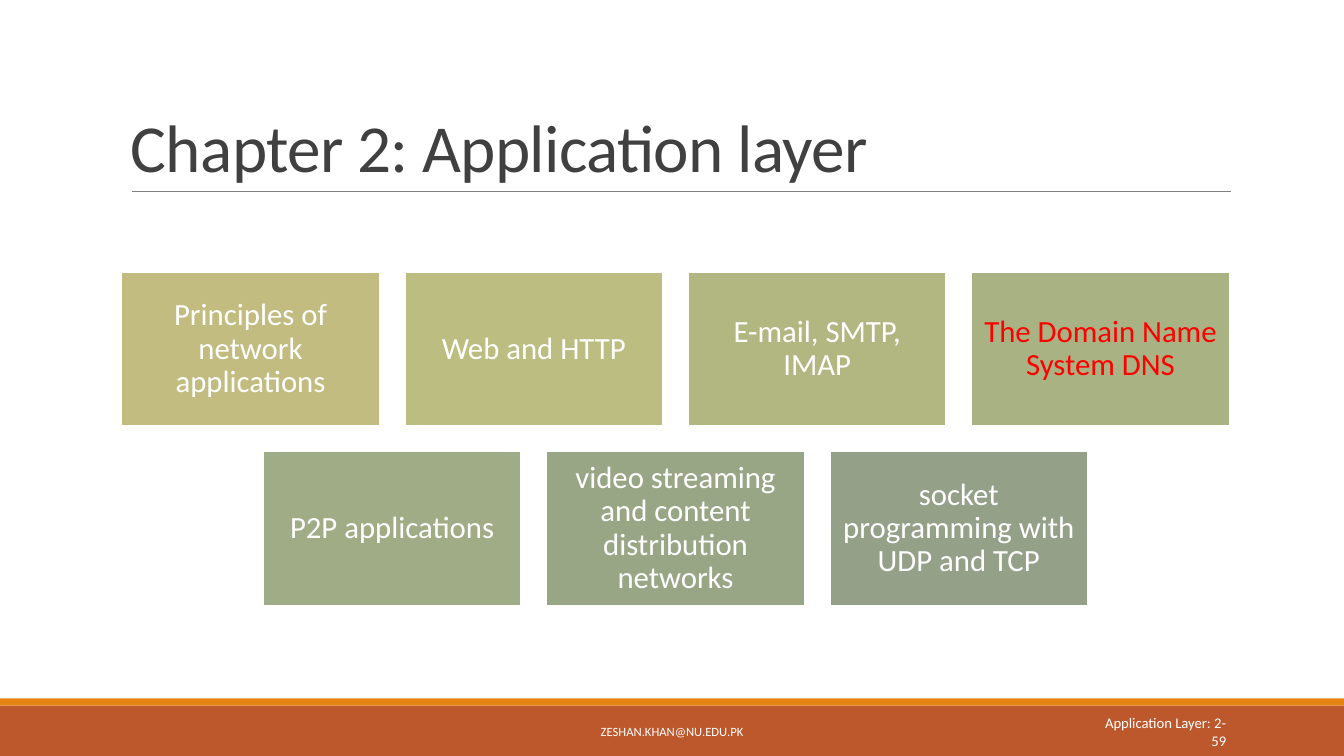
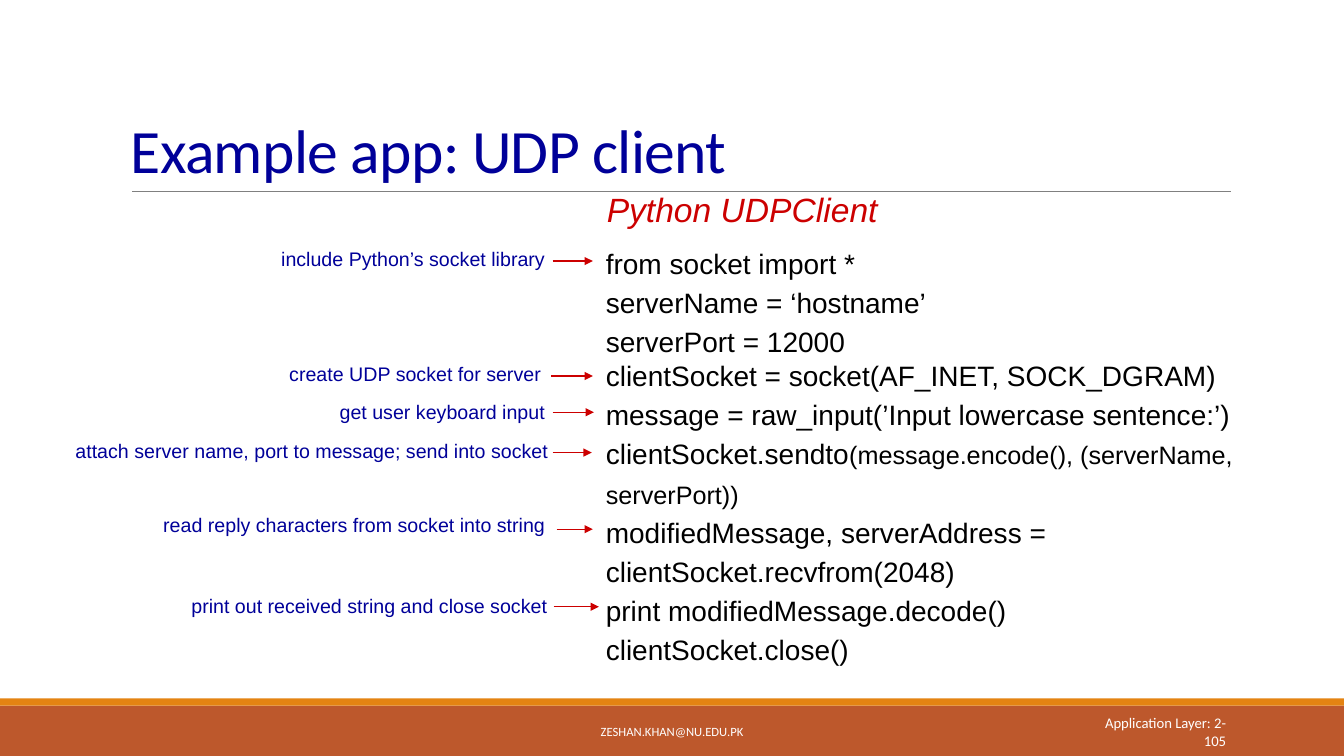
from lxml import etree
from pptx import Presentation
from pptx.dml.color import RGBColor
from pptx.enum.shapes import MSO_CONNECTOR, MSO_SHAPE
from pptx.enum.text import MSO_ANCHOR, PP_ALIGN
from pptx.oxml.ns import qn
from pptx.util import Inches, Pt

RECT, STRAIGHT = MSO_SHAPE.RECTANGLE, MSO_CONNECTOR.STRAIGHT
TOP, MIDDLE, BOTTOM = MSO_ANCHOR.TOP, MSO_ANCHOR.MIDDLE, MSO_ANCHOR.BOTTOM
LEFT, CENTER, RIGHT = PP_ALIGN.LEFT, PP_ALIGN.CENTER, PP_ALIGN.RIGHT

WHITE = RGBColor(0xFF, 0xFF, 0xFF)
BLACK = RGBColor(0x00, 0x00, 0x00)
GRAY = RGBColor(0x80, 0x80, 0x80)
DARK = RGBColor(0x40, 0x40, 0x40)
RUST = RGBColor(0xBD, 0x58, 0x2C)
ORANGE = RGBColor(0xE4, 0x83, 0x12)
NAVY = RGBColor(0x00, 0x00, 0x99)
CRIMSON = RGBColor(0xCC, 0x00, 0x00)
RED = RGBColor(0xFF, 0x00, 0x00)

FOOTER = {"name": "Calibri", "size": Pt(9)}
NUMBER = {"name": "Calibri", "size": Pt(10.5)}
TOPIC = {"name": "Calibri", "size": Pt(22)}
CODE = {"name": "Arial", "size": Pt(20)}
HEADING = {"name": "Arial", "size": Pt(24), "italic": True}
NOTE = {"name": "Arial", "size": Pt(14)}


def put_text(sp, lines, fmt, color, align=LEFT, anchor=TOP, wrap=True):
    """Fill a shape; each line is (line spacing, [(text, format changes), ...])."""
    tf = sp.text_frame
    tf.word_wrap = wrap
    tf.vertical_anchor = anchor
    for i, (spacing, runs) in enumerate(lines):
        p = tf.add_paragraph() if i else tf.paragraphs[0]
        p.alignment = align
        p.line_spacing = spacing
        for text, changes in runs:
            r = p.add_run()
            r.text = text
            r.font.color.rgb = color
            for key, value in {**fmt, **changes}.items():
                setattr(r.font, key, value)
    return tf


def add_line(s, x1, x2, y, color, width, arrow=False):
    line = s.shapes.add_connector(STRAIGHT, Inches(x1), Inches(y), Inches(x2), Inches(y))
    line.line.color.rgb = color
    line.line.width = Pt(width)
    if arrow:
        etree.SubElement(line.line._get_or_add_ln(), qn("a:tailEnd"), type="triangle")
    etree.SubElement(line._element.spPr, qn("a:effectLst"))


prs = Presentation()
prs.slide_width, prs.slide_height = Inches(13.33), Inches(7.5)

# Shared bands, title rule, title and footer
slides = []
for title, size, color, number in [
    ("Chapter 2: Application layer", 48, DARK, "59"),
    ("Example app: UDP client", 44, NAVY, "105"),
]:
    s = prs.slides.add_slide(prs.slide_layouts[6])
    slides.append(s)
    for top, height, fill in [(7, 0.5, RUST), (6.93, 0.07, ORANGE)]:
        band = s.shapes.add_shape(RECT, 0, Inches(top), prs.slide_width, Inches(height))
        band.shadow.inherit = False
        band.fill.solid()
        band.fill.fore_color.rgb = fill
        band.line.fill.background()
    add_line(s, 1.31, 12.21, 1.9, GRAY, 0.5)

    sp = s.shapes.add_textbox(Inches(1.2), Inches(0.31), Inches(11), Inches(1.59))
    tf = put_text(sp, [(0.85, [(title, {})])], {"name": "Calibri", "size": Pt(size)},
                  color, anchor=BOTTOM)
    tf.paragraphs[0].runs[0]._r.get_or_add_rPr().set("spc", "-50")

    for left, width, text, fmt, align in [
        (4.03, 5.27, "ZESHAN.KHAN@NU.EDU.PK", FOOTER, CENTER),
        (10.83, 1.43, "Application Layer: 2-" + number, NUMBER, RIGHT),
    ]:
        sp = s.shapes.add_textbox(Inches(left), Inches(7.06), Inches(width), Inches(0.4))
        put_text(sp, [(1.0, [(text, {})])], fmt, WHITE, align, MIDDLE)

chapter, client = slides

# Chapter topics: two centred rows of equal boxes
BOX_W, BOX_H, GAP = 2.56, 1.53, 0.25
ROWS_CENTER, ROWS_TOP = 6.7, 2.7
topic_rows = [
    [("Principles of network applications", "C2BC80", WHITE),
     ("Web and HTTP", "BCBD81", WHITE),
     ("E-mail, SMTP, IMAP", "B2B782", WHITE),
     ("The Domain Name System DNS", "A8B283", RED)],
    [("P2P applications", "A0AC85", WHITE),
     ("video streaming and content distribution networks", "99A686", WHITE),
     ("socket programming with UDP and TCP", "94A088", WHITE)],
]
for row, topics in enumerate(topic_rows):
    row_left = ROWS_CENTER - (len(topics) * (BOX_W + GAP) - GAP) / 2
    top = ROWS_TOP + row * (BOX_H + GAP)
    for col, (text, fill, color) in enumerate(topics):
        left = row_left + col * (BOX_W + GAP)
        sp = chapter.shapes.add_shape(RECT, Inches(left), Inches(top),
                                      Inches(BOX_W), Inches(BOX_H))
        sp.shadow.inherit = False
        sp.fill.solid()
        sp.fill.fore_color.rgb = RGBColor.from_string(fill)
        sp.line.color.rgb = WHITE
        sp.line.width = Pt(1.25)
        tf = put_text(sp, [(0.9, [(text, {})])], TOPIC, color, CENTER, MIDDLE)
        for side in ("left", "top", "right", "bottom"):
            setattr(tf, "margin_" + side, Inches(0.09))

# Client code
code_lines = [
    (Pt(28), [("from socket import *", {})]),
    (Pt(28), [("serverName = ‘hostname’", {})]),
    (Pt(28), [("serverPort = 12000", {})]),
    (Pt(24), [("clientSocket = socket(AF_INET, SOCK_DGRAM)", {})]),
    (Pt(28), [("message = raw_input(’Input lowercase sentence:’)", {})]),
    (Pt(28), [("clientSocket.sendto", {}),
              ("(message.encode(), (serverName, serverPort))", {"size": Pt(18)})]),
    (Pt(28), [("modifiedMessage, serverAddress = clientSocket.recvfrom(2048)", {})]),
    (Pt(28), [("print modifiedMessage.decode()", {})]),
    (Pt(28), [("clientSocket.close()", {})]),
]
sp = client.shapes.add_textbox(Inches(5.91), Inches(2.34), Inches(6.89), Inches(4.33))
put_text(sp, code_lines, CODE, BLACK)
sp = client.shapes.add_textbox(Inches(5.92), Inches(1.82), Inches(3), Inches(0.51))
put_text(sp, [(1.0, [("Python UDPClient", {})])], HEADING, CRIMSON, wrap=False)

# Notes with arrows: text, left, top, width, line spacing, arrow start, end, height
for text, left, top, width, spacing, x1, x2, y in [
    ("include Python’s socket library", 2.69, 2.41, 3.31, Pt(16), 5.48, 5.88, 2.59),
    ("create UDP socket for server", 2.77, 3.54, 3.22, 1.0, 5.47, 5.88, 3.73),
    ("get user keyboard input", 3.27, 3.93, 3.22, Pt(16), 5.48, 5.89, 4.09),
    ("attach server name, port to message; send into socket",
     0.65, 4.31, 5.16, 1.0, 5.48, 5.87, 4.49),
    ("read reply characters from socket into string",
     1.52, 5.04, 4.47, 1.0, 5.52, 5.88, 5.25),
    ("print out received string and close socket",
     1.8, 5.84, 4.03, 1.0, 5.49, 5.94, 6.02),
]:
    sp = client.shapes.add_textbox(Inches(left), Inches(top), Inches(width), Inches(0.34))
    put_text(sp, [(spacing, [(text, {})])], NOTE, NAVY)
    add_line(client, x1, x2, y, CRIMSON, 1, arrow=True)

prs.save("out.pptx")
